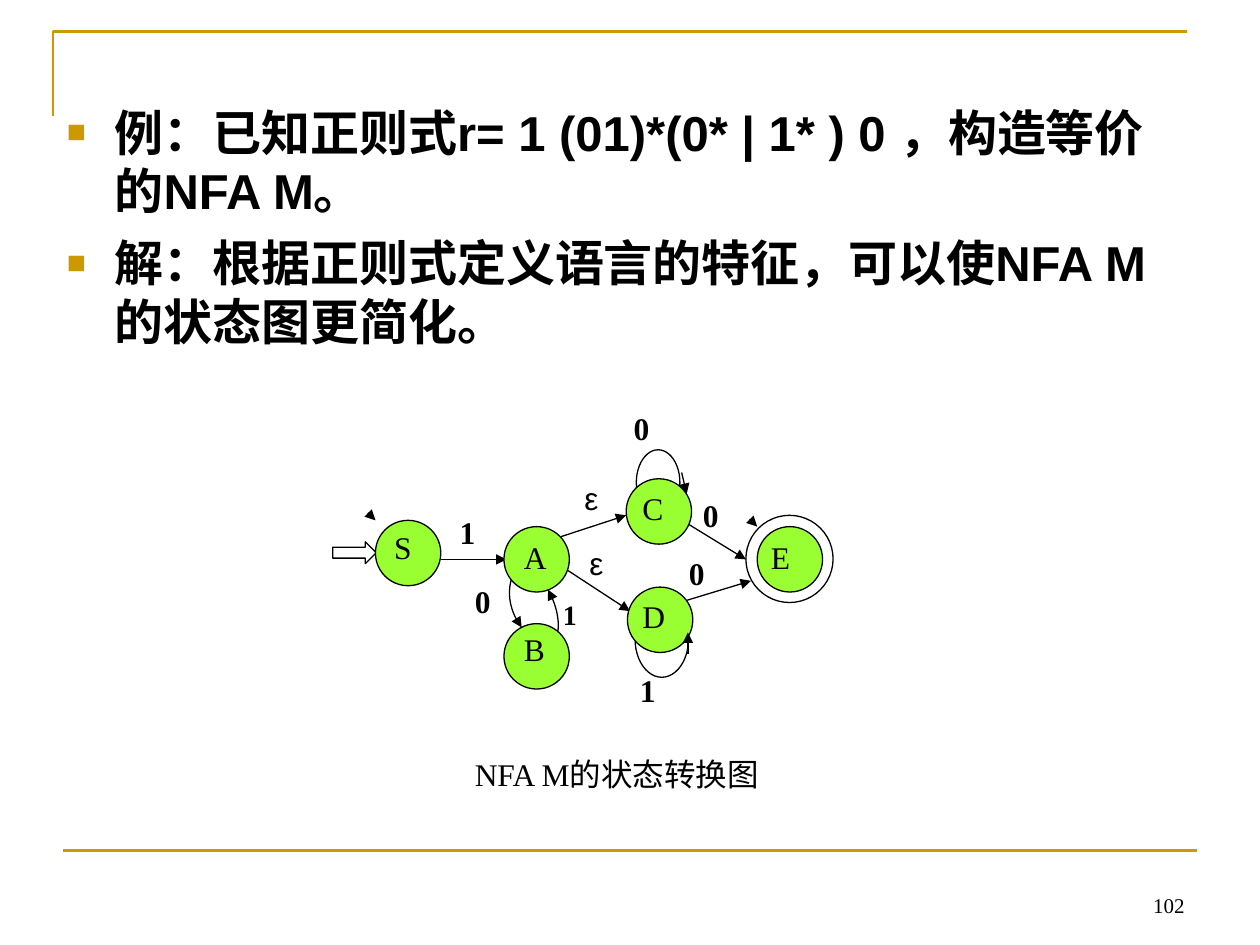
import pptx
import pptx.util
import pptx.dml.color
import pptx.enum.shapes
import pptx.enum.text
import pptx.oxml
import pptx.oxml.ns
from lxml import etree

Inches, Pt = pptx.util.Inches, pptx.util.Pt
SHAPE = pptx.enum.shapes.MSO_SHAPE
ALIGN = pptx.enum.text.PP_ALIGN
COLORS = {"ink": "000000", "gold": "CC9900", "state": "99FF33", "paper": "FFFFFF"}
SERIF, SANS = "Times New Roman", "Arial"

STATEMENTS = [
    "例：已知正则式r= 1 (01)*(0* | 1* ) 0 ，构造等价的NFA M。",
    "解：根据正则式定义语言的特征，可以使NFA M的状态图更简化。",
]
UNIT = 0.0865  # diagram grid step in inches
NODE, RING = 6, 8  # diameters in grid steps

# state: circle left, top; letter box left, top, width in steps
STATES = {
    "S": (2.98, 4.13, 3.03, 4.14, 6),
    "A": (4.00, 4.18, 4.06, 4.22, 5.3),
    "B": (4.00, 4.95, 4.06, 4.95, 5.3),
    "C": (4.97, 3.80, 5.00, 3.83, 8),
    "D": (4.98, 4.66, 5.00, 4.69, 8),
    "E": (6.01, 4.18, 6.02, 4.22, 6),
}
# self-loops on C and D: left, top, width and height in steps
LOOPS = [(5.05, 3.57, 4, 6), (5.04, 4.77, 4.9, 7)]
EDGES = [
    ((3.50, 4.44), (4.02, 4.44)),
    ((4.45, 4.26), (4.97, 4.09)),
    ((4.48, 4.51), (5.00, 4.85)),
    ((5.43, 4.14), (5.92, 4.44)),
    ((5.40, 4.78), (5.96, 4.61)),
]
# Bezier control points of A to B and B to A
ARCS = [
    ((4.12, 4.48), (4.01, 4.62), (4.02, 4.82), (4.14, 4.98)),
    ((4.34, 5.18), (4.46, 5.08), (4.46, 4.88), (4.35, 4.68)),
]
TIPS = [
    ((5.41, 3.75), (5.45, 3.92)),
    ((5.46, 5.19), (5.46, 5.02)),
    ((2.92, 4.07), (2.98, 4.13)),
    ((5.95, 4.12), (6.01, 4.18)),
]
# transition symbol, left, top, size
SYMBOLS = [
    ("1", 3.55, 4.02, 18), ("0", 3.67, 4.57, 18), ("1", 4.37, 4.69, 16),
    ("ε", 4.54, 3.75, 18), ("ε", 4.58, 4.27, 18), ("0", 4.93, 3.20, 18),
    ("0", 5.48, 3.89, 18), ("0", 5.37, 4.35, 18), ("1", 4.98, 5.28, 18),
]


def rgb(name):
    return pptx.dml.color.RGBColor.from_string(COLORS[name])


def style_font(font, size, face, bold=False):
    font.size, font.name, font.bold = Pt(size), face, bold
    font.color.rgb = rgb("ink")


def style_line(line, color="ink", width=0.75, arrow=False):
    line.color.rgb = rgb(color)
    line.width = Pt(width)
    if arrow:
        tail = etree.SubElement(line._get_or_add_ln(), pptx.oxml.ns.qn("a:tailEnd"))
        tail.set("type", "triangle")


def add_outline(slide, points, **line_style):
    """Draw an open, unfilled path through points given in inches."""
    start, *rest = [(Inches(x), Inches(y)) for x, y in points]
    builder = slide.shapes.build_freeform(*start)
    builder.add_line_segments(rest, close=False)
    outline = builder.convert_to_shape()
    outline.shadow.inherit = False
    outline.fill.background()
    style_line(outline.line, **line_style)


def add_straight(slide, start, end, **line_style):
    straight = slide.shapes.add_connector(
        pptx.enum.shapes.MSO_CONNECTOR.STRAIGHT,
        *(Inches(value) for value in (*start, *end)))
    style_line(straight.line, **line_style)
    etree.SubElement(straight._element.spPr, pptx.oxml.ns.qn("a:effectLst"))


def add_figure(slide, kind, left, top, columns, rows, fill="paper"):
    figure = slide.shapes.add_shape(
        kind, Inches(left), Inches(top), Inches(columns * UNIT), Inches(rows * UNIT))
    figure.shadow.inherit = False
    figure.fill.solid()
    figure.fill.fore_color.rgb = rgb(fill)
    style_line(figure.line)


def add_label(slide, text, left, top, width, height=0.52, size=18, face=SERIF,
              bold=False, align=ALIGN.LEFT, anchor=pptx.enum.text.MSO_ANCHOR.TOP):
    box = slide.shapes.add_textbox(*(Inches(v) for v in (left, top, width, height)))
    frame = box.text_frame
    frame.word_wrap = True
    frame.vertical_anchor = anchor
    frame.text = text
    frame.paragraphs[0].alignment = align
    style_font(frame.paragraphs[0].runs[0].font, size, face, bold)


def bezier(p0, p1, p2, p3, steps=16):
    points = []
    for step in range(steps + 1):
        t = step / steps
        weights = ((1 - t) ** 3, 3 * t * (1 - t) ** 2, 3 * t * t * (1 - t), t ** 3)
        points.append(tuple(sum(w * p[axis] for w, p in zip(weights, (p0, p1, p2, p3)))
                            for axis in (0, 1)))
    return points


def add_square_bullet(paragraph):
    properties = paragraph._p.get_or_add_pPr()
    properties.set("marL", str(Inches(0.38)))
    properties.set("indent", str(-Inches(0.38)))
    namespace = pptx.oxml.ns.nsdecls("a")
    for xml in (f'<a:buClr {namespace}><a:srgbClr val="{COLORS["gold"]}"/></a:buClr>',
                f'<a:buSzPct {namespace} val="65000"/>',
                f'<a:buFont {namespace} typeface="{SANS}"/>',
                f'<a:buChar {namespace} char="■"/>'):
        properties.append(pptx.oxml.parse_xml(xml))


def fill_body(slide):
    body = slide.placeholders[1]
    body.left, body.top, body.width, body.height = map(Inches, (0.43, 0.76, 9, 2.36))
    frame = body.text_frame
    frame.auto_size = pptx.enum.text.MSO_AUTO_SIZE.NONE
    frame.text = "\n".join(STATEMENTS)
    for index, paragraph in enumerate(frame.paragraphs):
        paragraph.space_before = Pt(7.5 if index else 0)
        add_square_bullet(paragraph)
        for run in paragraph.runs:
            style_font(run.font, 28, SANS, True)


def draw_automaton(slide):
    for loop in LOOPS:
        add_figure(slide, SHAPE.OVAL, *loop)
    for arc in ARCS:
        add_outline(slide, bezier(*arc), arrow=True)
    for edge in EDGES:
        add_straight(slide, *edge, arrow=True)
    add_figure(slide, SHAPE.RIGHT_ARROW, 2.64, 4.3, 4, 2)
    add_figure(slide, SHAPE.OVAL, 5.92, 4.09, RING, RING)
    for left, top, *_ in STATES.values():
        add_figure(slide, SHAPE.OVAL, left, top, NODE, NODE, "state")
    for tip in TIPS:
        add_straight(slide, *tip, arrow=True)
    for state, (_, _, left, top, columns) in STATES.items():
        add_label(slide, state, left, top, columns * UNIT)
    for symbol, left, top, size in SYMBOLS:
        empty_word = symbol == "ε"
        add_label(slide, symbol, left, top, (4 if empty_word else 6) * UNIT, size=size,
                  face=SANS if empty_word else SERIF, bold=not empty_word)
    add_label(slide, "NFA M的状态转换图", 3.67, 5.94, 2.97, 0.55)


def main():
    deck = pptx.Presentation()
    deck.slide_width, deck.slide_height = Inches(10), Inches(7.5)
    slide = deck.slides.add_slide(deck.slide_layouts[1])
    title = slide.shapes.title._element
    title.getparent().remove(title)

    add_outline(slide, [(0.42, 0.92), (0.42, 0.25), (9.42, 0.25)], color="gold", width=1.5)
    add_straight(slide, (0.5, 6.75), (9.5, 6.75), color="gold", width=1.5)
    fill_body(slide)
    draw_automaton(slide)
    add_label(slide, "102", 7.17, 6.83, 2.33, 0.5, size=12, align=ALIGN.RIGHT,
              anchor=pptx.enum.text.MSO_ANCHOR.BOTTOM)
    deck.save("out.pptx")


if __name__ == "__main__":
    main()
